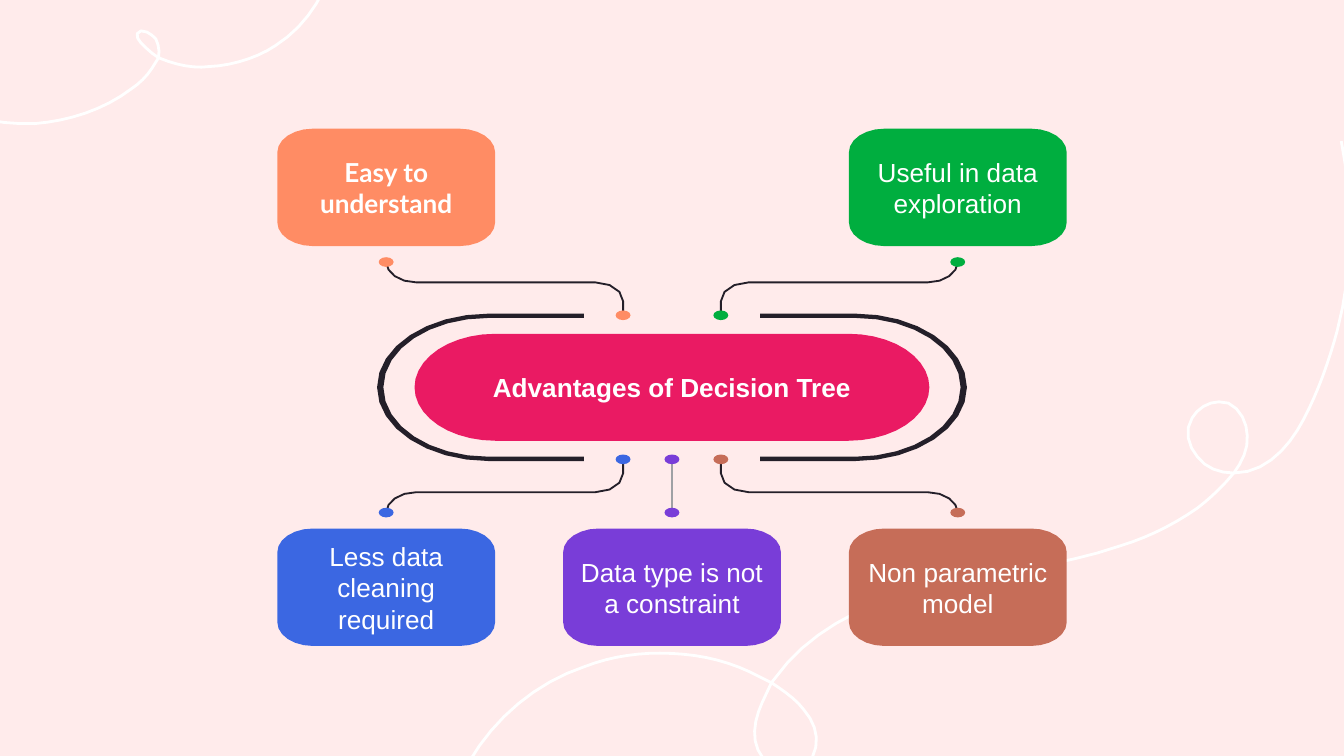
from math import cos, dist, pi, sin

from lxml import etree
from pptx import Presentation
from pptx.dml.color import RGBColor
from pptx.enum import shapes, text
from pptx.oxml.ns import qn
from pptx.util import Pt

# Content: text, colour name, column (-1, 0, 1), row (-1 above, 1 below), typeface, bold
TITLE = "Advantages of Decision Tree"
ADVANTAGES = [
    ("Easy to understand", "orange", -1, -1, "Lato", True),
    ("Useful in data exploration", "green", 1, -1, "Arial", False),
    ("Less data cleaning required", "blue", -1, 1, "Arial", False),
    ("Data type is not a constraint", "purple", 0, 1, "Arial", False),
    ("Non parametric model", "brown", 1, 1, "Arial", False),
]

THEME = {
    "background": "FFEBEB", "white": "FFFFFF", "dark": "241F29", "grey": "9FA0A4",
    "pink": "EA1A63", "orange": "FF8C64", "green": "00AE3F", "blue": "3B67E2",
    "purple": "793DD8", "brown": "C66D58", "size": 14, "title font": "Arial",
}

# Curves: a start point, then lines (x, y) or Béziers (x1, y1, x2, y2, x, y)
GRID = 0.72  # points per unit in the two swirls
SWIRLS = [
    [(998, 105), (1007, 151, 1007, 200, 995, 246), (989, 268, 981, 291, 970, 312),
     (960, 331, 943, 352, 918, 352), (907, 352, 897, 348, 891, 340),
     (884, 332, 881, 320, 887, 311), (891, 304, 899, 299, 907, 299),
     (914, 300), (923, 304, 928, 315, 928, 324),
     (929, 334, 924, 344, 918, 352), (908, 364, 900, 371, 891, 378),
     (874, 390, 854, 400, 834, 406), (788, 422, 740, 425, 694, 436),
     (654, 446, 614, 462, 586, 493), (574, 508), (567, 523),
     (562, 534, 559, 547, 564, 558), (568, 567, 577, 575, 587, 575),
     (598, 574, 605, 566, 607, 556), (609, 546, 605, 536, 598, 528),
     (592, 520, 583, 514, 574, 508), (558, 500), (537, 490, 514, 486, 491, 486),
     (472, 486, 453, 489, 435, 496), (399, 508, 368, 534, 349, 567), (337, 593)],
    [(250, -39), (246, -9, 230, 18, 205, 34), (193, 42, 178, 47, 163, 49),
     (150, 50), (140, 50, 130, 48, 118, 43), (113, 40, 109, 36, 105, 32),
     (102, 29, 100, 24, 105, 23), (110, 23, 113, 26, 116, 29),
     (118, 33, 119, 38, 118, 43), (113, 51), (109, 57, 104, 62, 98, 66),
     (77, 82, 51, 90, 26, 92), (-5, 93, -32, 86, -57, 68)],
]

# Offsets from the centre of the diagram, for the right side and the lower half
CENTER_X, CENTER_Y = 360, 207.5
COLUMN, ROW = 153.1, 107.1
BOX = (116.7, 62.9, 19, 12.75)      # width, height, corner radii
HUB = (275.8, 57.3, 43.2, 28.65)
DOT_WIDTH, DOT_HEIGHT = 8, 5.2
INNER_X, INNER_Y, OUTER_Y = 26.2, 38.6, 67.1
HOOK = [(INNER_X, INNER_Y), (INNER_X, 46.1), (26.2, 51.5, 32.6, 56.2, 41, 56.2),
        (136.9, 56.2), (146.2, 56.2, COLUMN, 61.5, COLUMN, OUTER_Y)]
BRACKET = [(47.2, -39.5), (98, -39.5), (131, -39.5, 158, -21.8, 158, 0),
           (158, 21.8, 131, 39.5, 98, 39.5), (47.2, 39.5), (47.2, 37.2), (98, 37.2),
           (129.6, 37.2, 154.6, 20.6, 154.6, 0), (154.6, -20.6, 129.6, -37.2, 98, -37.2),
           (47.2, -37.2)]

deck = Presentation()
deck.slide_width, deck.slide_height = Pt(720), Pt(405)
page = deck.slides.add_slide(deck.slide_layouts[5])


def color(name):
    return RGBColor.from_string(THEME[name])


def trace(curve):
    """Turn a curve into a polyline, with more points where a Bézier is long."""
    points = [curve[0]]
    for segment in curve[1:]:
        if len(segment) == 2:
            points.append(segment)
            continue
        knots = [*points[-1], *segment]
        steps = min(8, 2 + round(dist(knots[:2], knots[-2:]) / 12))
        for step in range(1, steps + 1):
            t = step / steps
            weights = ((1 - t) ** 3, 3 * t * (1 - t) ** 2, 3 * t * t * (1 - t), t ** 3)
            points.append(tuple(sum(w * k for w, k in zip(weights, knots[axis::2]))
                                for axis in (0, 1)))
    return points


def mirror(points, side, half=1):
    return [(CENTER_X + side * x, CENTER_Y + half * y) for x, y in points]


def rounded(center_x, center_y, width, height, radius_x, radius_y, steps=6):
    """Points of a box whose corners are quarter ellipses."""
    points = []
    for quarter, (side, half) in enumerate([(1, 1), (-1, 1), (-1, -1), (1, -1)]):
        for step in range(steps + 1):
            angle = (quarter + step / steps) * pi / 2
            points.append((center_x + side * (width / 2 - radius_x) + radius_x * cos(angle),
                           center_y + half * (height / 2 - radius_y) + radius_y * sin(angle)))
    return points


def draw(points, fill=None, line=None, weight=1):
    """Draw a filled outline or an open stroke."""
    places = [(Pt(x), Pt(y)) for x, y in points]
    builder = page.shapes.build_freeform(*places[0])
    builder.add_line_segments(places[1:], close=fill is not None)
    return paint(builder.convert_to_shape(), fill, line, weight)


def paint(shape, fill=None, line=None, weight=1):
    shape.shadow.inherit = False
    if fill:
        shape.fill.solid()
        shape.fill.fore_color.rgb = color(fill)
    else:
        shape.fill.background()
    if line:
        shape.line.color.rgb = color(line)
        shape.line.width = Pt(weight)
    else:
        shape.line.fill.background()
    return shape


def write(shape, words, font, bold):
    frame = shape.text_frame
    frame.text = words
    frame.word_wrap = True
    frame.auto_size = text.MSO_AUTO_SIZE.NONE
    frame.vertical_anchor = text.MSO_ANCHOR.MIDDLE
    frame.margin_left = frame.margin_right = Pt(7.2)
    frame.margin_top = frame.margin_bottom = Pt(7.2)
    para = frame.paragraphs[0]
    para.alignment = text.PP_ALIGN.CENTER
    para.font.name, para.font.size, para.font.bold = font, Pt(THEME["size"]), bold
    para.font.color.rgb = color("white")


def add_dot(x, y, fill):
    paint(page.shapes.add_shape(
        shapes.MSO_SHAPE.OVAL, Pt(x - DOT_WIDTH / 2), Pt(y - DOT_HEIGHT / 2),
        Pt(DOT_WIDTH), Pt(DOT_HEIGHT)), fill)


# Background with swirls
page.background.fill.solid()
page.background.fill.fore_color.rgb = color("background")
for swirl in SWIRLS:
    draw([(x * GRID, y * GRID) for x, y in trace(swirl)], line="white", weight=1.5)

# Central pill, its title and the brackets around it
hub = draw(rounded(CENTER_X, CENTER_Y, *HUB, steps=10), fill="pink")
title = page.shapes.title
title.left, title.top, title.width, title.height = hub.left, hub.top, hub.width, hub.height
write(title, TITLE, THEME["title font"], True)
hub._element.addnext(title._element)
for side in (-1, 1):
    draw(mirror(trace(BRACKET), side), fill="dark")

# Advantages: box, link to the centre, and a dot at each end of the link
for words, fill, column, row, font, bold in ADVANTAGES:
    x = CENTER_X + column * COLUMN
    write(draw(rounded(x, CENTER_Y + row * ROW, *BOX), fill), words, font, bold)
    inner = (CENTER_X + column * INNER_X, CENTER_Y + row * INNER_Y)
    outer = (x, CENTER_Y + row * OUTER_Y)
    if column:
        draw(mirror(trace(HOOK), column, row), line="dark")
    else:
        link = page.shapes.add_connector(
            shapes.MSO_CONNECTOR.STRAIGHT, *(Pt(value) for value in inner + outer))
        link.line.color.rgb, link.line.width = color("grey"), Pt(1.2)
        etree.SubElement(link._element.spPr, qn("a:effectLst"))
    for place in (inner, outer):
        add_dot(*place, fill)

deck.save("out.pptx")
